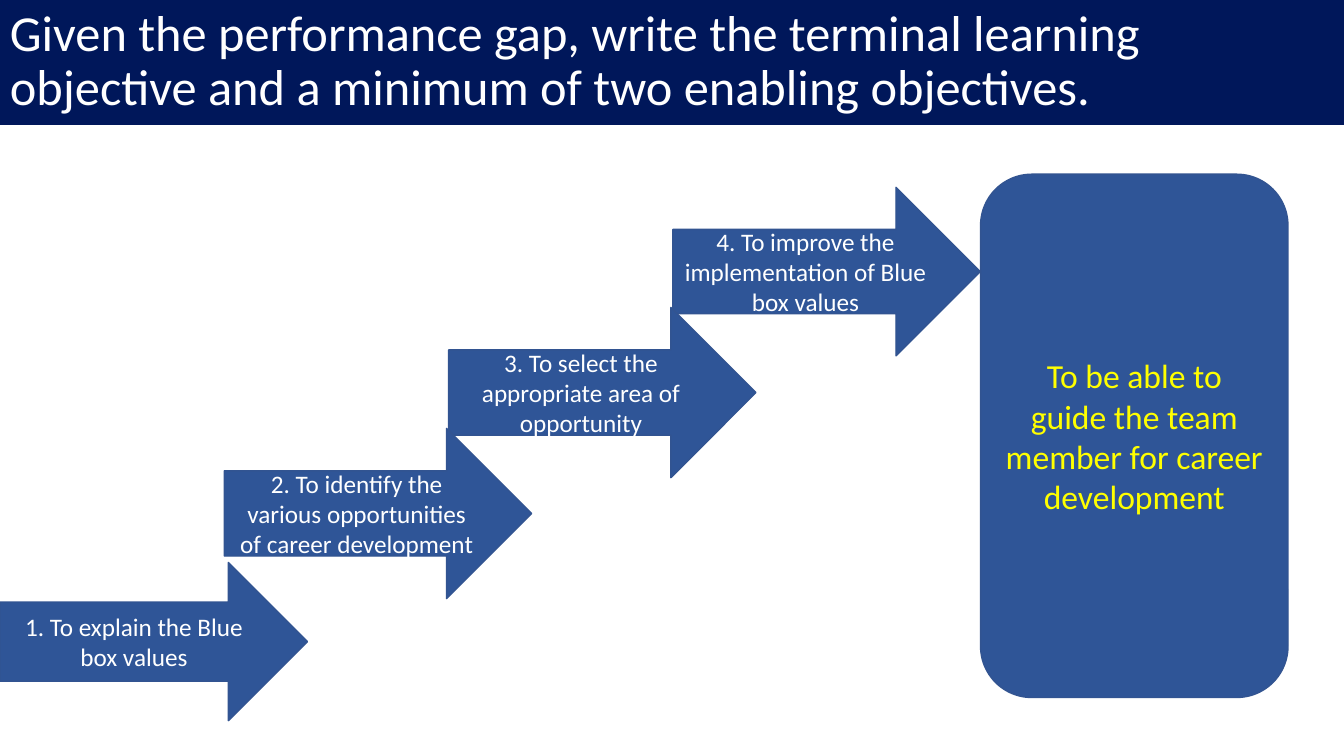
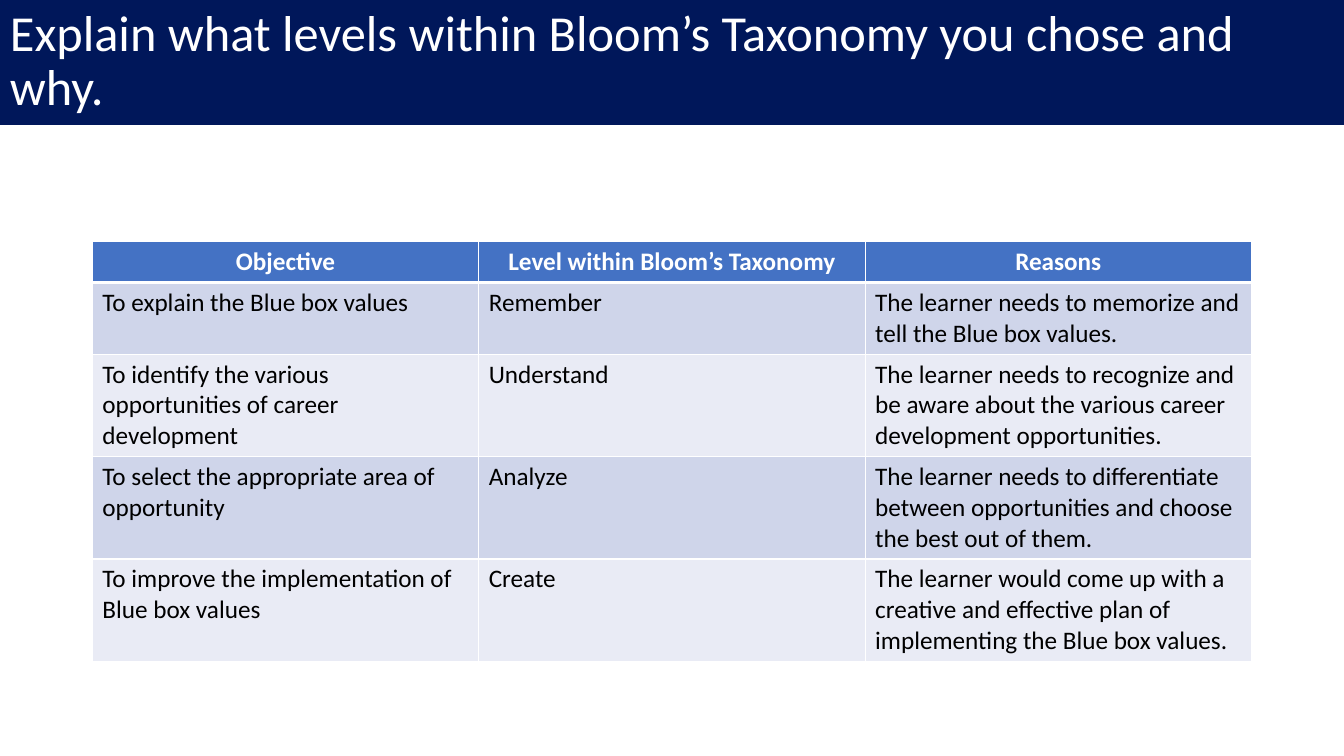
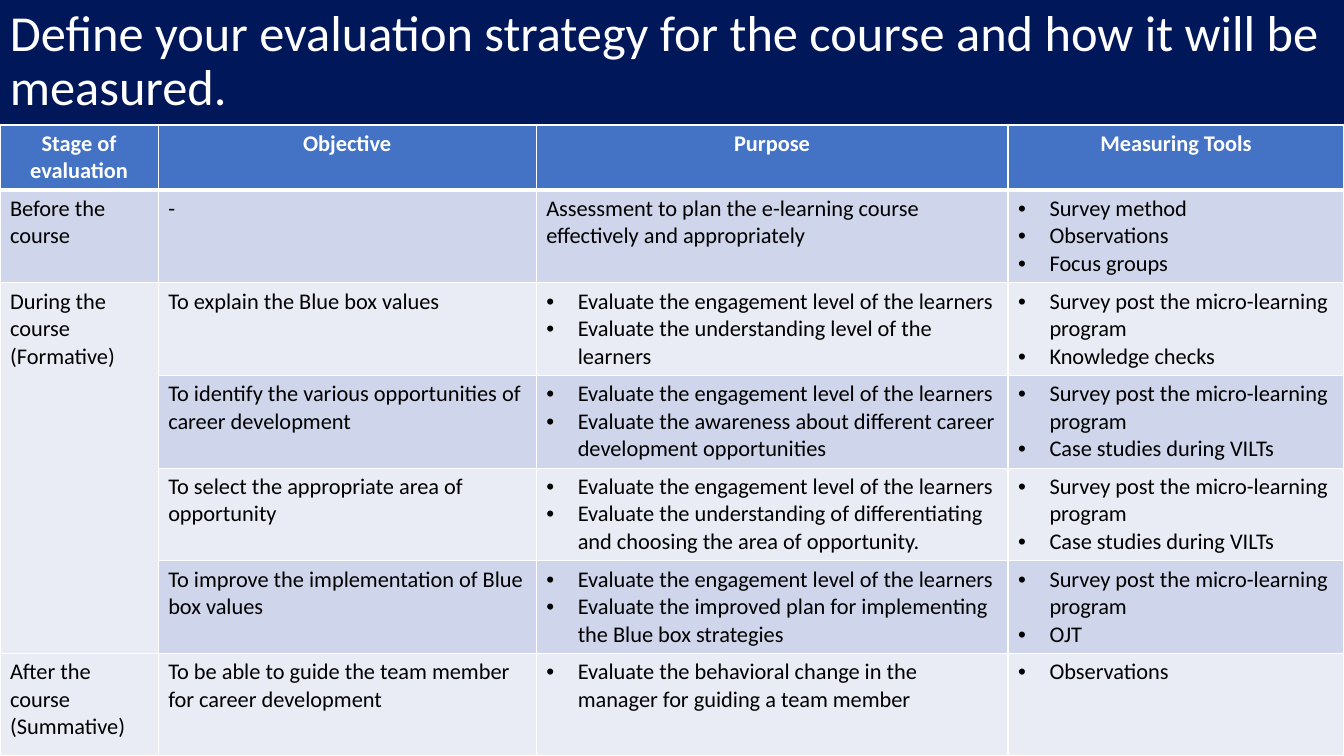
from dataclasses import dataclass

from lxml.etree import SubElement
from pptx import Presentation
from pptx.dml.color import RGBColor
from pptx.enum.shapes import MSO_SHAPE
from pptx.enum.text import MSO_ANCHOR, PP_ALIGN
from pptx.oxml import parse_xml
from pptx.oxml.ns import nsdecls, qn
from pptx.util import Pt


@dataclass(frozen=True)
class Theme:
    font: str = "Calibri"
    navy: str = "00175A"
    blue: str = "2F5597"
    edge: str = "325491"
    head: str = "4472C4"
    bands: tuple = ("E9EBF5", "CFD5EA")
    white: str = "FFFFFF"
    black: str = "000000"
    yellow: str = "FFFF00"
    title: int = 36
    goal: int = 24
    body: int = 18
    small: int = 16


THEME = Theme()
WIDTH, HEIGHT, BAND = 960, 540, 89.3
STEP, ARROW = 160.2, 219.6
INDENT = 22.5

STEPS = [
    (401.8, 113, "1. To explain the Blue box values"),
    (306, 121.6, "2. To identify the various opportunities of career development"),
    (219.6, 121.6, "3. To select the appropriate area of opportunity"),
    (133.8, 120.4, "4. To improve the implementation of Blue box values"),
]
GOAL = "To be able to guide the team member for career development"

EXPLAIN = "To explain the Blue box values"
FIND = "To identify the various opportunities of career development"
SELECT = "To select the appropriate area of opportunity"
IMPROVE = "To improve the implementation of Blue box values"

LEVELS = [
    ["Objective", "Level within Bloom’s Taxonomy", "Reasons"],
    [EXPLAIN, "Remember",
     "The learner needs to memorize and tell the Blue box values."],
    [FIND, "Understand",
     "The learner needs to recognize and be aware about the various career "
     "development opportunities."],
    [SELECT, "Analyze",
     "The learner needs to differentiate between opportunities and choose "
     "the best out of them."],
    [IMPROVE, "Create",
     "The learner would come up with a creative and effective plan of "
     "implementing the Blue box values."],
]

ENGAGE = "Evaluate the engagement level of the learners"
SURVEY = "Survey post the micro-learning program"
CASES = "Case studies during VILTs"

# A list inside a row is a bulleted cell.
PLAN = [
    ["Stage of evaluation", "Objective", "Purpose", "Measuring Tools"],
    ["Before the course", "-",
     "Assessment to plan the e-learning course effectively and appropriately",
     ["Survey method", "Observations", "Focus groups"]],
    ["During the course (Formative)", EXPLAIN,
     [ENGAGE, "Evaluate the understanding level of the learners"],
     [SURVEY, "Knowledge checks"]],
    ["", FIND,
     [ENGAGE, "Evaluate the awareness about different career development "
              "opportunities"],
     [SURVEY, CASES]],
    ["", SELECT,
     [ENGAGE, "Evaluate the understanding of differentiating and choosing "
              "the area of opportunity."],
     [SURVEY, CASES]],
    ["", IMPROVE,
     [ENGAGE, "Evaluate the improved plan for implementing the Blue box "
              "strategies"],
     [SURVEY, "OJT"]],
    ["After the course (Summative)", GOAL,
     ["Evaluate the behavioral change in the manager for guiding a team "
      "member"],
     ["Observations"]],
]


def rgb(color):
    return RGBColor.from_string(color)


def add_run(para, text, size, color, bold=False):
    run = para.add_run()
    run.text = text
    font = run.font
    font.name, font.size, font.bold = THEME.font, Pt(size), bold
    font.color.rgb = rgb(color)


def add_box(slide, kind, box, fill, text, size, color, edge=None):
    """Add a filled preset shape with centred text; return its paragraph."""
    shape = slide.shapes.add_shape(kind, *map(Pt, box))
    shape.shadow.inherit = False
    shape.fill.solid()
    shape.fill.fore_color.rgb = rgb(fill)
    if edge:
        shape.line.color.rgb = rgb(edge)
        shape.line.width = Pt(1)
    else:
        shape.line.fill.background()
    frame = shape.text_frame
    frame.word_wrap = True
    frame.vertical_anchor = MSO_ANCHOR.MIDDLE
    para = frame.paragraphs[0]
    para.alignment = PP_ALIGN.CENTER
    add_run(para, text, size, color)
    return para


def add_page(deck, title):
    slide = deck.slides.add_slide(deck.slide_layouts[6])
    para = add_box(slide, MSO_SHAPE.RECTANGLE, (0, 0, WIDTH, BAND),
                   THEME.navy, title, THEME.title, THEME.white)
    para.alignment = PP_ALIGN.LEFT
    para.line_spacing = 0.9
    return slide


def add_dot(para):
    props = para._p.get_or_add_pPr()
    props.set("marL", str(Pt(INDENT)))
    props.set("indent", str(-Pt(INDENT)))
    SubElement(props, qn("a:buFont")).set("typeface", "Arial")
    SubElement(props, qn("a:buChar")).set("char", "•")


def set_edges(cell, top, bottom):
    """Draw white borders, which must come before the fill in the XML."""
    props = cell._tc.get_or_add_tcPr()
    sides = {"L": 1, "R": 1, "T": top, "B": bottom}
    for spot, (side, width) in enumerate(sides.items()):
        props.insert(spot, parse_xml(
            f'<a:ln{side} {nsdecls("a")} w="{Pt(width)}"><a:solidFill>'
            f'<a:srgbClr val="{THEME.white}"/></a:solidFill></a:ln{side}>'))


def fill_cell(cell, row, item, size):
    head = row == 0
    cell.fill.solid()
    cell.fill.fore_color.rgb = rgb(THEME.head if head else THEME.bands[row % 2])
    set_edges(cell, 3 if row == 1 else 1, 3 if head else 1)
    dots = isinstance(item, list)
    frame = cell.text_frame
    for spot, text in enumerate(item if dots else [item]):
        para = frame.add_paragraph() if spot else frame.paragraphs[0]
        if dots:
            add_dot(para)
        if head:
            para.alignment = PP_ALIGN.CENTER
        if text:
            add_run(para, text, size, THEME.white if head else THEME.black, head)


def add_grid(slide, left, top, cols, rows, data, size):
    table = slide.shapes.add_table(
        len(rows), len(cols), Pt(left), Pt(top),
        Pt(sum(cols)), Pt(sum(rows))).table
    for col, width in zip(table.columns, cols):
        col.width = Pt(width)
    for row, height in zip(table.rows, rows):
        row.height = Pt(height)
    for r, items in enumerate(data):
        for c, item in enumerate(items):
            fill_cell(table.cell(r, c), r, item, size)
    return table


def add_steps(slide):
    for i, (top, height, text) in reversed(list(enumerate(STEPS))):
        add_box(slide, MSO_SHAPE.RIGHT_ARROW, (i * STEP, top, ARROW, height),
                THEME.blue, text, THEME.body, THEME.white, THEME.edge)
    add_box(slide, MSO_SHAPE.ROUNDED_RECTANGLE, (700.4, 124.4, ARROW, 373.8),
            THEME.blue, GOAL, THEME.goal, THEME.yellow, THEME.edge)


def main():
    deck = Presentation()
    deck.slide_width, deck.slide_height = Pt(WIDTH), Pt(HEIGHT)

    add_steps(add_page(
        deck, "Given the performance gap, write the terminal learning "
              "objective and a minimum of two enabling objectives."))

    slide = add_page(
        deck, "Explain what levels within Bloom’s Taxonomy you chose and why.")
    add_grid(slide, 66, 172.6, [276] * 3, [29.2, 51] + [73] * 3,
             LEVELS, THEME.body)

    slide = add_page(
        deck, "Define your evaluation strategy for the course and how it "
              "will be measured.")
    table = add_grid(slide, 0, BAND, [113, 270, 337, 240],
                     [46.6] + [66.2] * 5 + [73.1], PLAN, THEME.small)
    table.cell(2, 0).merge(table.cell(5, 0))

    deck.save("out.pptx")


if __name__ == "__main__":
    main()
